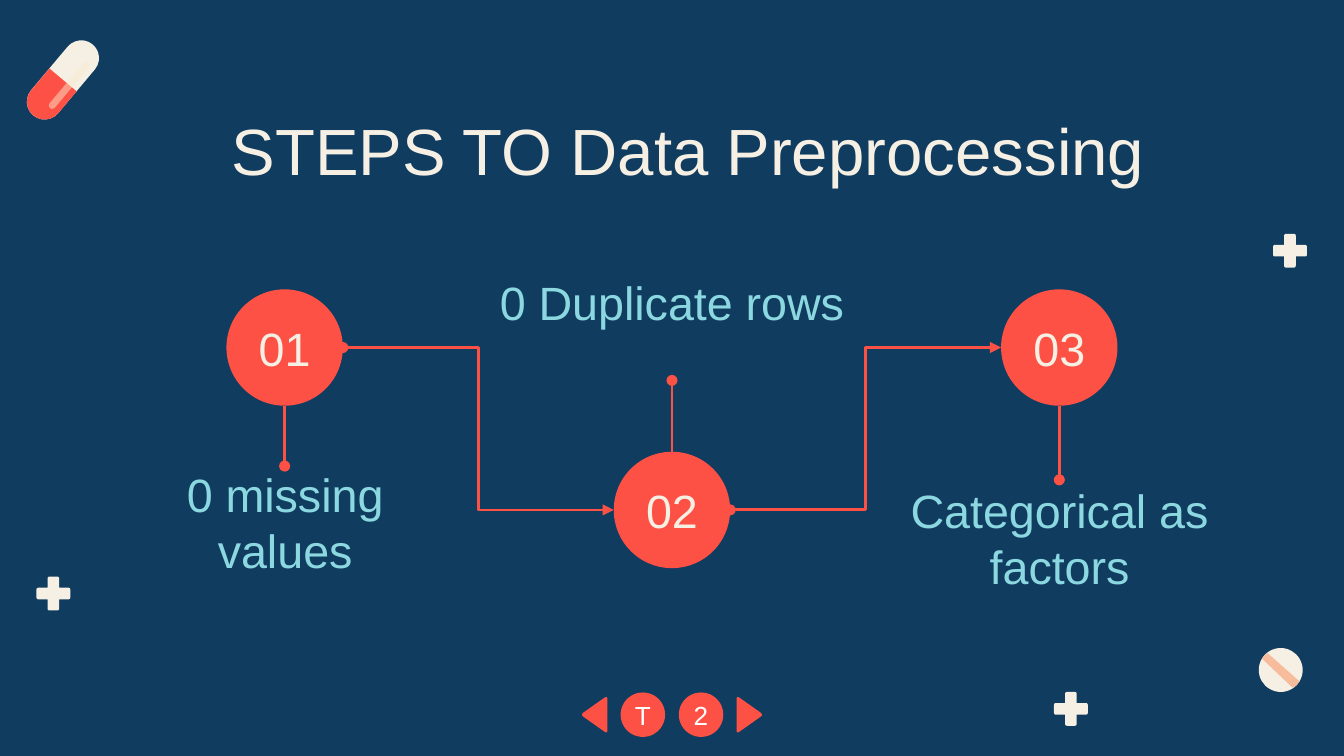
from dataclasses import dataclass
from math import cos, hypot, radians, sin

from pptx import Presentation
from pptx.dml.color import RGBColor
from pptx.enum.shapes import MSO_CONNECTOR, MSO_SHAPE
from pptx.enum.text import MSO_ANCHOR, PP_ALIGN
from pptx.oxml.ns import qn
from pptx.util import Cm, Pt

OVAL, CAPSULE = MSO_SHAPE.OVAL, MSO_SHAPE.ROUNDED_RECTANGLE
HALF_CAPSULE = MSO_SHAPE.ROUND_2_SAME_RECTANGLE
STRAIGHT, ELBOW = MSO_CONNECTOR.STRAIGHT, MSO_CONNECTOR.ELBOW
TOP, MIDDLE = MSO_ANCHOR.TOP, MSO_ANCHOR.MIDDLE
CENTER = PP_ALIGN.CENTER


@dataclass(frozen=True)
class Theme:
    navy: str = "103C60"
    coral: str = "FE5145"
    cream: str = "F6EFE4"
    aqua: str = "8CD8E1"
    peach: str = "F6BC9B"
    shine: str = "FAE9CD"
    white: str = "FFFFFF"
    font: str = "Arial"
    title_size: float = 35
    step_size: float = 25
    button_size: float = 14
    leading: float = 1.2
    line_width: float = 1.5


@dataclass(frozen=True)
class Box:
    """A rectangle in centimetres."""
    left: float
    top: float
    width: float
    height: float

    def emu(self):
        return Cm(self.left), Cm(self.top), Cm(self.width), Cm(self.height)


@dataclass(frozen=True)
class Corner:
    """A polygon corner in centimetres; radius is how far it is cut back."""
    x: float
    y: float
    radius: float = 0


@dataclass(frozen=True)
class Step:
    number: str
    label: str
    center_x: float
    center_y: float
    label_box: Box
    stem_end: float


THEME = Theme()
SLIDE_WIDTH, SLIDE_HEIGHT = 25.4, 14.29
MID_X = SLIDE_WIDTH / 2
STEP_GAP, HIGH, LOW = 7.32, 6.57, 9.64
STEP_RADIUS = 1.1
STEPS = [
    Step("01", "0 missing values", MID_X - STEP_GAP, HIGH, Box(2.01, 8.81, 6.76, 2.11), 8.81),
    Step("02", "0 Duplicate rows", MID_X, LOW, Box(9.04, 4.62, 7.32, 2.16), 7.19),
    Step("03", "Categorical as factors", MID_X + STEP_GAP, HIGH, Box(16.33, 9.07, 7.39, 2.21), 9.07),
]
CROSS_SPOTS = [(24.06, 4.42), (19.92, 13.08), (0.69, 10.9)]


def centered(x: float, y: float, width: float, height: float) -> Box:
    return Box(x - width / 2, y - height / 2, width, height)


def paint(shape, color: str) -> None:
    shape.shadow.inherit = False
    shape.fill.solid()
    shape.fill.fore_color.rgb = RGBColor.from_string(color)
    shape.line.fill.background()


def add_preset(page, kind, box: Box, color: str, rotation: float = 0):
    shape = page.shapes.add_shape(kind, *box.emu())
    paint(shape, color)
    shape.rotation = rotation
    return shape


def write(shape, text: str, size: float, color: str, anchor=MIDDLE, side: float = 0.25) -> None:
    frame = shape.text_frame
    frame.word_wrap = True
    frame.vertical_anchor = anchor
    frame.margin_left = frame.margin_right = Cm(side)
    frame.margin_top = frame.margin_bottom = Cm(0.25)
    para = frame.paragraphs[0]
    para.text = text
    para.alignment = CENTER
    para.line_spacing = Pt(round(size * THEME.leading))
    para.font.name = THEME.font
    para.font.size = Pt(size)
    para.font.color.rgb = RGBColor.from_string(color)


def add_text(page, box: Box, text: str, size: float, color: str, anchor=MIDDLE) -> None:
    write(page.shapes.add_textbox(*box.emu()), text, size, color, anchor)


def add_line(page, kind, start: tuple, end: tuple, **ends: str) -> None:
    line = page.shapes.add_connector(kind, *(Cm(value) for value in start + end))
    line.line.color.rgb = RGBColor.from_string(THEME.coral)
    line.line.width = Pt(THEME.line_width)
    properties = line.element.spPr
    outline = properties.find(qn("a:ln"))
    for name, style in ends.items():
        mark = outline.makeelement(qn(f"a:{name}"), {"type": style})
        outline.append(mark)
    properties.append(properties.makeelement(qn("a:effectLst"), {}))


def add_polygon(page, corners: list[Corner], color: str) -> None:
    points = []
    for index, corner in enumerate(corners):
        if not corner.radius:
            points.append((corner.x, corner.y))
            continue
        offsets = []
        for other in (corners[index - 1], corners[(index + 1) % len(corners)]):
            dx, dy = other.x - corner.x, other.y - corner.y
            ratio = corner.radius / hypot(dx, dy)
            offsets.append((dx * ratio, dy * ratio))
        (ax, ay), (bx, by) = offsets
        for t in (0, 0.25, 0.5, 0.75, 1):
            before, after = (1 - t) ** 2, t ** 2
            points.append((corner.x + before * ax + after * bx, corner.y + before * ay + after * by))
    points = [(Cm(x), Cm(y)) for x, y in points]
    builder = page.shapes.build_freeform(*points[0])
    builder.add_line_segments(points[1:], close=True)
    paint(builder.convert_to_shape(), color)


def add_cross(page, left: float, top: float) -> None:
    size, near, far, radius = 0.64, 0.21, 0.43, 0.04
    outline = [(near, 0), (far, 0), (far, near), (size, near), (size, far), (far, far),
               (far, size), (near, size), (near, far), (0, far), (0, near), (near, near)]
    corners = [Corner(left + x, top + y, radius if {x, y} & {0, size} else 0) for x, y in outline]
    add_polygon(page, corners, THEME.cream)


def add_pill(page) -> None:
    x, y, length, width, tilt = 1.19, 1.51, 1.75, 0.67, 50
    whole = add_preset(page, CAPSULE, centered(x, y, length, width), THEME.cream, -tilt)
    half_x = x - length / 4 * cos(radians(tilt))
    half_y = y + length / 4 * sin(radians(tilt))
    half = add_preset(page, HALF_CAPSULE, centered(half_x, half_y, width, length / 2), THEME.coral, 270 - tilt)
    shine = add_preset(page, CAPSULE, centered(1.31, 1.61, 1.13, 0.13), THEME.shine, -tilt)
    for shape in (whole, half, shine):
        shape.adjustments[0] = 0.5
    color = shine.element.spPr.find(f".//{qn('a:srgbClr')}")
    color.append(color.makeelement(qn("a:alpha"), {"val": "49000"}))


def add_tablet(page) -> None:
    add_preset(page, OVAL, Box(23.79, 12.25, 0.83, 0.83), THEME.cream)
    stripe = [(23.85, 12.45), (23.95, 12.34), (24.56, 12.88), (24.51, 12.95), (24.43, 13)]
    add_polygon(page, [Corner(x, y) for x, y in stripe], THEME.peach)


def add_navigation(page) -> None:
    y = 13.51
    for side, text in ((-1, "T"), (1, "2")):
        button = add_preset(page, OVAL, centered(MID_X + side * 0.55, y, 0.84, 0.84), THEME.coral)
        write(button, text, THEME.button_size, THEME.white, side=0)
        base, tip = MID_X + side * 1.22, MID_X + side * 1.73
        arrow = [Corner(base, y - 0.36, 0.07), Corner(tip, y, 0.07), Corner(base, y + 0.36, 0.07)]
        add_polygon(page, arrow, THEME.coral)


def add_step(page, step: Step) -> None:
    x, y = step.center_x, step.center_y
    add_text(page, step.label_box, step.label, THEME.step_size, THEME.aqua)
    add_preset(page, OVAL, centered(x, y, 2 * STEP_RADIUS, 2 * STEP_RADIUS), THEME.coral)
    add_text(page, centered(x, y, 2 * STEP_RADIUS, 1.17), step.number, THEME.step_size, THEME.cream)
    edge = y + STEP_RADIUS if step.stem_end > y else y - STEP_RADIUS
    add_line(page, STRAIGHT, (x, edge), (x, step.stem_end), tailEnd="oval")


def main() -> None:
    deck = Presentation()
    deck.slide_width, deck.slide_height = Cm(SLIDE_WIDTH), Cm(SLIDE_HEIGHT)
    page = deck.slides.add_slide(deck.slide_layouts[6])
    page.background.fill.solid()
    page.background.fill.fore_color.rgb = RGBColor.from_string(THEME.navy)

    # Decoration
    for left, top in CROSS_SPOTS:
        add_cross(page, left, top)
    add_tablet(page)
    add_pill(page)

    # Title and navigation
    add_text(page, Box(1.98, 1.83, 22.07, 1.6), "STEPS TO Data Preprocessing",
             THEME.title_size, THEME.cream, TOP)
    add_navigation(page)

    # Steps and the arrows between them
    for step, following in zip(STEPS, STEPS[1:]):
        add_line(page, ELBOW, (step.center_x + STEP_RADIUS, step.center_y),
                 (following.center_x - STEP_RADIUS, following.center_y),
                 headEnd="oval", tailEnd="triangle")
    for step in STEPS:
        add_step(page, step)

    deck.save("out.pptx")


if __name__ == "__main__":
    main()
